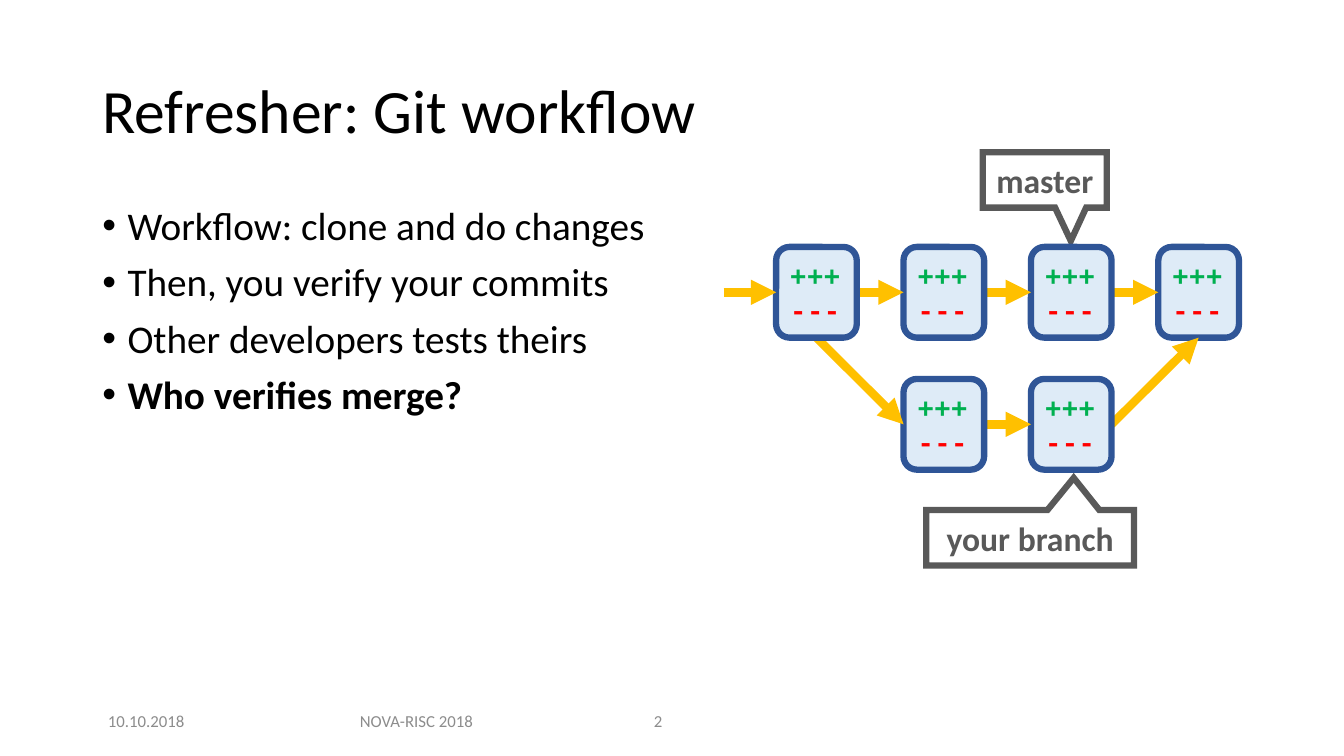
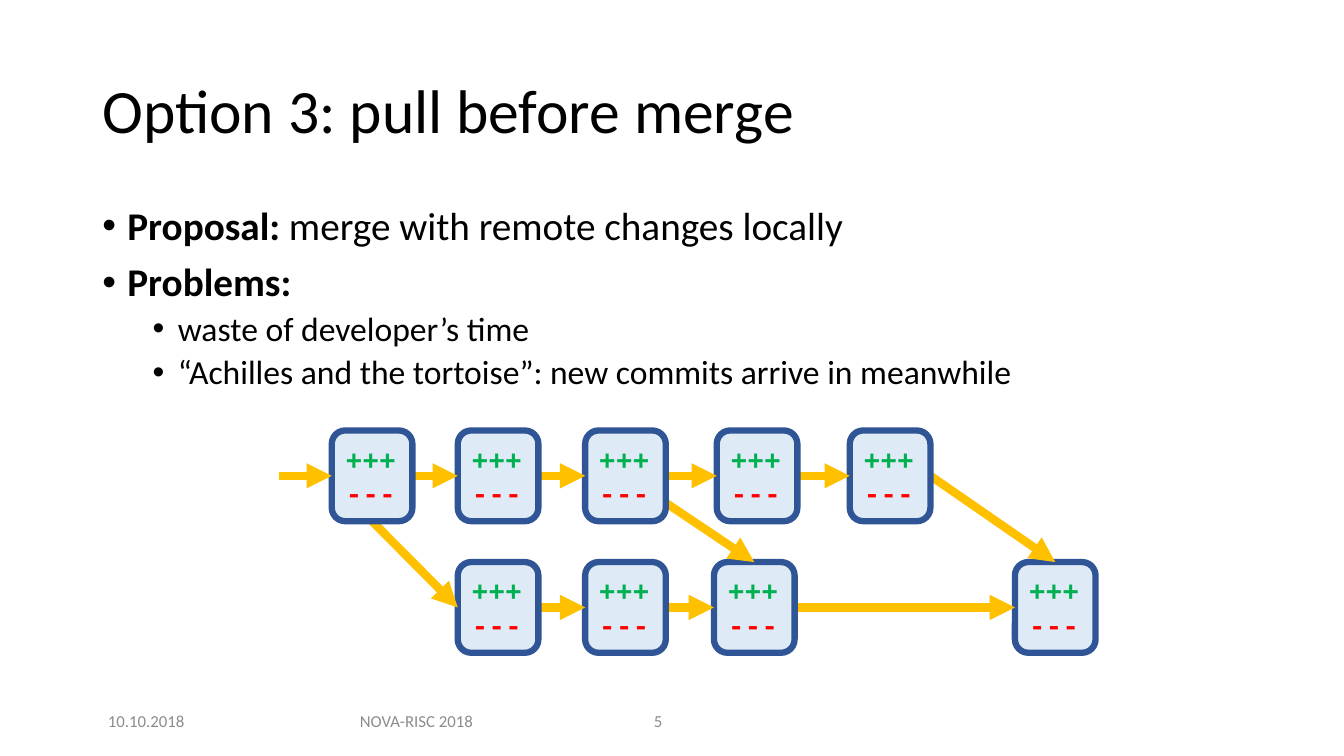
from lxml import etree
from pptx import Presentation
from pptx import util as u
from pptx.dml.color import RGBColor
from pptx.enum import shapes, text
from pptx.oxml.ns import qn

Pt = u.Pt

# Shared colours
BLACK = RGBColor(0x00, 0x00, 0x00)
WHITE = RGBColor(0xFF, 0xFF, 0xFF)
FOOTER_GREY = RGBColor(0x8C, 0x8C, 0x8C)
CALLOUT_GREY = RGBColor(0x59, 0x59, 0x59)
COMMIT_FILL = RGBColor(0xDE, 0xEB, 0xF7)
COMMIT_EDGE = RGBColor(0x2F, 0x55, 0x97)
ARROW_GOLD = RGBColor(0xFF, 0xC0, 0x00)
ADDED_GREEN = RGBColor(0x00, 0xB0, 0x50)
REMOVED_RED = RGBColor(0xFF, 0x00, 0x00)

# Shared text formats; colour is set apart because it lives one level deeper
TITLE = {"name": "Calibri", "size": Pt(44)}
FOOTER = {"name": "Calibri", "size": Pt(12)}
CALLOUT = {"name": "Calibri", "size": Pt(24), "bold": True}
DIFF = {"name": "Courier New", "size": Pt(20), "bold": True}
BULLETS = [  # by level: font size, space before, left margin
    {"size": 28, "before": 10, "margin": 18},
    {"size": 24, "before": 5, "margin": 54},
]
BULLET_HANG = 18

# Commit boxes and the sides where arrows meet them
COMMIT_W, COMMIT_H = 57.6, 64.8
STUB_LENGTH = 37.5
TOP, LEFT, BOTTOM, RIGHT, CENTRE = range(5)
SIDE_OFFSETS = {
    TOP: (0.5, 0), LEFT: (0, 0.5), BOTTOM: (0.5, 1), RIGHT: (1, 0.5),
    CENTRE: (0.5, 0.5),
}


def set_all(target, formats):
    for attribute, value in formats.items():
        setattr(target, attribute, value)


def add_xml(parent, tag, **attributes):
    return etree.SubElement(parent, qn(tag), attributes)


def add_run(paragraph, words, formats, color):
    run = paragraph.add_run()
    run.text = words
    set_all(run.font, formats)
    run.font.color.rgb = color


def add_text(slide, box, words=None, formats=None, color=BLACK,
             align=text.PP_ALIGN.LEFT, anchor=text.MSO_ANCHOR.MIDDLE):
    frame = slide.shapes.add_textbox(*map(Pt, box)).text_frame
    set_all(frame, {"word_wrap": True, "vertical_anchor": anchor})
    if words:
        frame.paragraphs[0].alignment = align
        add_run(frame.paragraphs[0], words, formats, color)
    return frame


def add_outlined(slide, kind, box, fill, edge):
    outlined = slide.shapes.add_shape(kind, *map(Pt, box))
    outlined.shadow.inherit = False
    outlined.fill.solid()
    outlined.fill.fore_color.rgb = fill
    outlined.line.color.rgb = edge
    outlined.line.width = Pt(4.5)
    set_all(outlined.text_frame, {"word_wrap": True,
                                  "vertical_anchor": text.MSO_ANCHOR.MIDDLE})
    return outlined


# Title and footer
def add_frame(slide, title, number):
    heading = add_text(slide, (66, 29, 828, 104), title, TITLE)
    heading.paragraphs[0].line_spacing = 0.9
    footers = [
        (66, 77, "10.10.2018", text.PP_ALIGN.CENTER),
        (240.5, 114, "NOVA-RISC 2018", text.PP_ALIGN.CENTER),
        (460, 57, number, text.PP_ALIGN.LEFT),
    ]
    for left, width, words, align in footers:
        add_text(slide, (left, 500.5, width, 28.8), words, FOOTER,
                 FOOTER_GREY, align)


# Bulleted body: each item is a level and its (words, bold) runs
def add_bullets(slide, width, items):
    body = add_text(slide, (66, 144, width, 343),
                    anchor=text.MSO_ANCHOR.TOP)
    for index, (level, runs) in enumerate(items):
        paragraph = body.add_paragraph() if index else body.paragraphs[0]
        style = BULLETS[level]
        set_all(paragraph, {"level": level, "line_spacing": 0.9,
                            "space_before": Pt(style["before"])})
        properties = paragraph._p.get_or_add_pPr()
        properties.set("marL", str(Pt(style["margin"])))
        properties.set("indent", str(-Pt(BULLET_HANG)))
        add_xml(properties, "a:buFont", typeface="Arial")
        add_xml(properties, "a:buChar", char="•")
        for words, bold in runs:
            add_run(paragraph, words, {"name": "Calibri", "bold": bold,
                                       "size": Pt(style["size"])}, BLACK)


# Branch label with a pointer
def add_callout(slide, box, pointer, words):
    callout = add_outlined(slide, shapes.MSO_SHAPE.RECTANGULAR_CALLOUT, box,
                           WHITE, CALLOUT_GREY)
    callout.adjustments[0], callout.adjustments[1] = pointer
    add_xml(callout.line._get_or_add_ln(), "a:miter", lim="800000")
    paragraph = callout.text_frame.paragraphs[0]
    paragraph.alignment = text.PP_ALIGN.CENTER
    add_run(paragraph, words, CALLOUT, CALLOUT_GREY)


def add_commit(slide, corner):
    commit = add_outlined(slide, shapes.MSO_SHAPE.ROUNDED_RECTANGLE,
                          (*corner, COMMIT_W, COMMIT_H),
                          COMMIT_FILL, COMMIT_EDGE)
    frame = commit.text_frame
    lines = [(frame.paragraphs[0], "+++", ADDED_GREEN),
             (frame.add_paragraph(), "---", REMOVED_RED)]
    for paragraph, words, color in lines:
        paragraph.alignment = text.PP_ALIGN.LEFT
        add_run(paragraph, words, DIFF, color)
    return commit


def add_arrow(slide, start, end):
    arrow = slide.shapes.add_connector(shapes.MSO_CONNECTOR.STRAIGHT,
                                       *map(Pt, (*start, *end)))
    arrow.line.color.rgb = ARROW_GOLD
    arrow.line.width = Pt(6)
    add_xml(arrow.line._get_or_add_ln(), "a:tailEnd", type="triangle")
    add_xml(arrow._element.spPr, "a:effectLst")
    return arrow


def side_point(corner, side):
    across, down = SIDE_OFFSETS[side]
    return corner[0] + across * COMMIT_W, corner[1] + down * COMMIT_H


# Children come before parents, so arrows leave from under the parent
# and their heads lie over the child.
def add_history(slide, commits, links):
    outgoing = []
    for name, corner in commits.items():
        commit = add_commit(slide, corner)
        for parent, parent_side, child, child_side in links:
            if child == name:
                arrow = add_arrow(slide,
                                  side_point(commits[parent], parent_side),
                                  side_point(corner, child_side))
                arrow.end_connect(commit, child_side)
                outgoing.append((parent, parent_side, arrow))
        for parent, parent_side, arrow in outgoing:
            if parent == name and parent_side != CENTRE:
                arrow.begin_connect(commit, parent_side)
    # Stub leading into the oldest commit, which is drawn last
    entry = side_point(corner, LEFT)
    stub = add_arrow(slide, (entry[0] - STUB_LENGTH, entry[1]), entry)
    stub.end_connect(commit, LEFT)


def chain(*names):
    return [(parent, RIGHT, child, LEFT)
            for parent, child in zip(names, names[1:])]


def build_workflow(slide):
    add_frame(slide, "Refresher: Git workflow", "2")
    add_bullets(slide, 408, [
        (0, [("Workflow: clone and do changes", False)]),
        (0, [("Then, you verify your commits", False)]),
        (0, [("Other developers tests theirs", False)]),
        (0, [("Who verifies merge?", True)]),
    ])
    add_callout(slide, (702, 108.7, 88.6, 39.6), (0.21, 1.1), "master")
    add_callout(slide, (661.7, 364.3, 148.3, 39.6), (0.21, -1.08),
                "your branch")
    columns = [554.4 + 91 * column for column in range(4)]
    master_row, branch_row = 176.4, 270.7
    commits = {
        "merge": (columns[3], master_row),
        "branch 2": (columns[2], branch_row),
        "branch 1": (columns[1], branch_row),
        "master 3": (columns[2], master_row),
        "master 2": (columns[1], master_row),
        "master 1": (columns[0], master_row),
    }
    add_history(slide, commits, [
        *chain("master 1", "master 2", "master 3", "merge"),
        *chain("branch 1", "branch 2"),
        ("master 1", BOTTOM, "branch 1", LEFT),
        ("branch 2", RIGHT, "merge", BOTTOM),
    ])


def build_pull_before_merge(slide):
    add_frame(slide, "Option 3: pull before merge", "5")
    add_bullets(slide, 875, [
        (0, [("Proposal:", True),
             (" merge with remote changes locally", False)]),
        (0, [("Problems:", True)]),
        (1, [("waste of developer’s time", False)]),
        (1, [("“Achilles and the tortoise”: new commits arrive in meanwhile",
              False)]),
    ])
    master_row, branch_row = 307.5, 401.5
    commits = {
        "merge": (725, branch_row),
        "master 5": (607, master_row),
        "master 4": (512, master_row),
        "pull": (510, branch_row),
        "branch 2": (418, branch_row),
        "branch 1": (327, branch_row),
        "master 3": (418, master_row),
        "master 2": (327, master_row),
        "master 1": (237, master_row),
    }
    add_history(slide, commits, [
        *chain("master 1", "master 2", "master 3", "master 4", "master 5"),
        *chain("branch 1", "branch 2", "pull", "merge"),
        ("master 1", BOTTOM, "branch 1", LEFT),
        ("master 3", CENTRE, "pull", TOP),
        ("master 5", RIGHT, "merge", TOP),
    ])


def main():
    deck = Presentation()
    deck.slide_width, deck.slide_height = Pt(960), Pt(540)
    for build in (build_workflow, build_pull_before_merge):
        build(deck.slides.add_slide(deck.slide_layouts[6]))
    deck.save("out.pptx")


if __name__ == "__main__":
    main()
